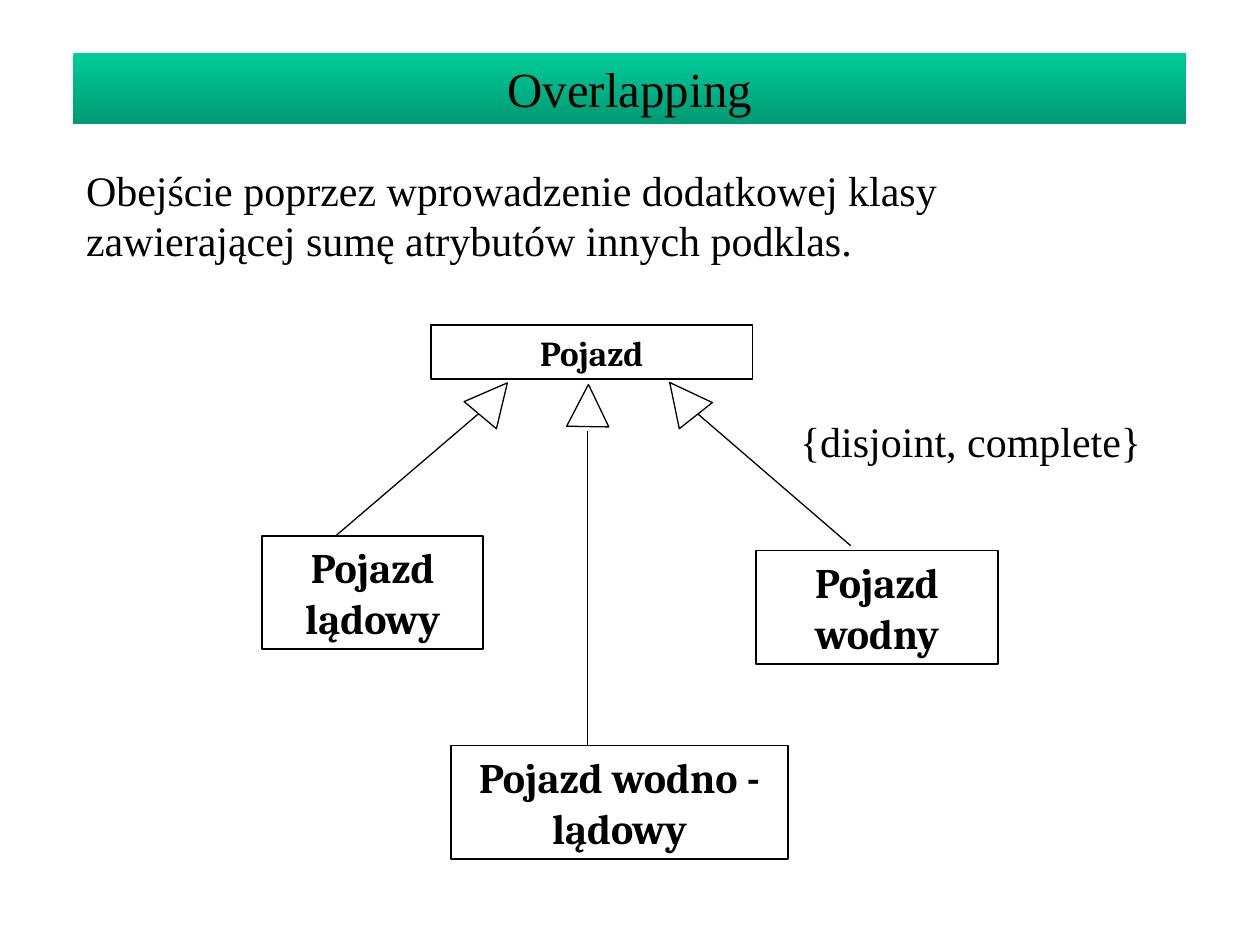
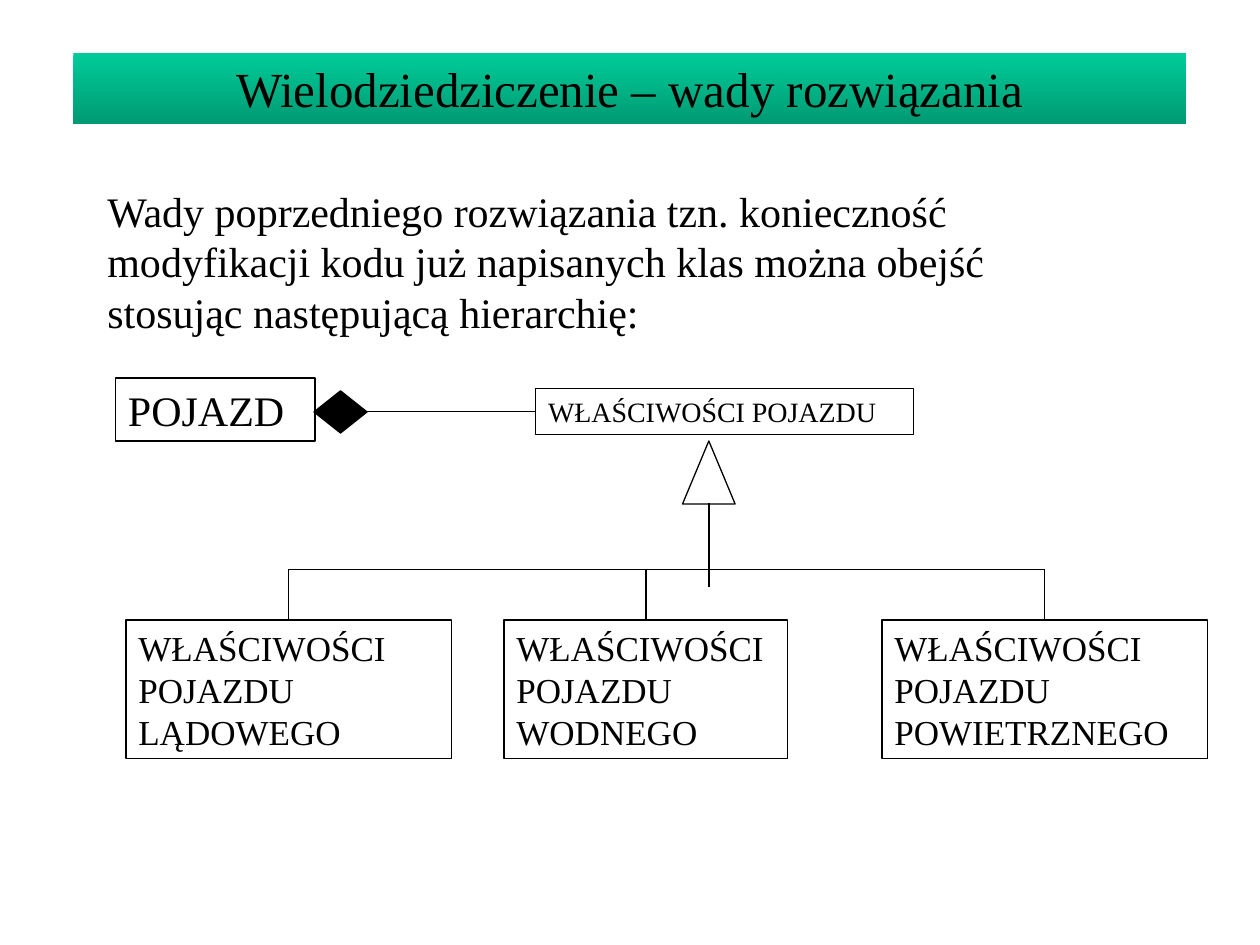
import pptx
import pptx.util
import pptx.dml.color
import pptx.enum.shapes
import pptx.enum.text
import pptx.oxml.ns
from lxml import etree

Cm, Pt = pptx.util.Cm, pptx.util.Pt
Kind = pptx.enum.shapes.MSO_SHAPE
Align = pptx.enum.text.PP_ALIGN
COLORS = {"ink": "000000", "paper": "FFFFFF", "light": "00CC99", "dark": "009A73"}
SERIF, SLAB = "Times New Roman", "Cambria"


def color(name):
    return pptx.dml.color.RGBColor.from_string(COLORS[name])


class Deck:
    def __init__(self):
        self.prs = pptx.Presentation()
        self.prs.slide_width, self.prs.slide_height = Cm(25.4), Cm(19.05)

    def start(self, title, body, place):
        self.slide = self.prs.slides.add_slide(self.prs.slide_layouts[1])
        self.shapes = self.slide.shapes
        band, text = self.slide.placeholders
        self.move(band, 1.48, 1.06, 22.43, 1.44)
        band.fill.gradient()
        band.fill.gradient_angle = 270
        for stop, name in zip(band.fill.gradient_stops, ("light", "dark")):
            stop.color.rgb = color(name)
        self.letter(band, title, 28, align=Align.CENTER)
        self.move(text, *place)
        self.letter(text, body, 24, plain=True)

    def move(self, shape, left, top, width, height):
        shape.left, shape.top = Cm(left), Cm(top)
        shape.width, shape.height = Cm(width), Cm(height)

    def letter(self, shape, text, size, font=SERIF, bold=False, align=Align.LEFT, plain=False):
        frame = shape.text_frame
        frame.text = text
        frame.word_wrap = True
        frame.auto_size = pptx.enum.text.MSO_AUTO_SIZE.NONE
        frame.vertical_anchor = pptx.enum.text.MSO_ANCHOR.TOP
        for para in frame.paragraphs:
            if plain:
                props = para._p.get_or_add_pPr()
                props.set("marL", "0")
                props.set("indent", "0")
                etree.SubElement(props, pptx.oxml.ns.qn("a:buNone"))
            para.alignment = align
            para.space_before = Pt(0)
            para.font.name, para.font.size, para.font.bold = font, Pt(size), bold
            para.font.color.rgb = color("ink")

    def form(self, kind, place, fill=None, width=0.75, turn=0):
        shape = self.shapes.add_shape(kind, *map(Cm, place))
        shape.shadow.inherit = False
        if fill:
            shape.fill.solid()
            shape.fill.fore_color.rgb = color(fill)
        else:
            shape.fill.background()
        shape.line.color.rgb = color("ink")
        shape.line.width = Pt(width)
        shape.rotation = turn
        return shape

    def box(self, text, size, *place):
        self.letter(self.form(Kind.RECTANGLE, place), text, size)

    def node(self, text, size, *place):
        shape = self.form(Kind.RECTANGLE, place, width=1)
        self.letter(shape, text, size, SLAB, True, Align.CENTER)

    def label(self, text, size, *place):
        self.letter(self.shapes.add_textbox(*map(Cm, place)), text, size)

    def head(self, *place, turn=0):
        self.form(Kind.FLOWCHART_EXTRACT, place, "paper", turn=turn)

    def line(self, *ends):
        link = self.shapes.add_connector(
            pptx.enum.shapes.MSO_CONNECTOR.STRAIGHT, *map(Cm, ends))
        link.line.color.rgb = color("ink")
        link.line.width = Pt(0.75)
        etree.SubElement(link._element.spPr, pptx.oxml.ns.qn("a:effectLst"))


def overlap(deck):
    deck.start(
        "Overlapping",
        "Obejście poprzez wprowadzenie dodatkowej klasy zawierającej sumę "
        "atrybutów innych podklas.",
        (1.48, 3.18, 19.69, 2.29))
    deck.node("Pojazd", 20, 8.69, 6.55, 6.48, 1.09)
    deck.node("Pojazd\nlądowy", 24, 5.29, 10.8, 4.45, 2.29)
    deck.node("Pojazd\nwodny", 24, 15.24, 11.1, 4.88, 2.29)
    deck.node("Pojazd wodno - lądowy", 24, 9.1, 15.03, 6.78, 2.29)
    for ends, left, top, turn in (
        ((9.74, 8.26, 6.77, 10.8), 9.53, 7.62, 40),
        ((13.97, 8.26, 17.15, 11), 13.34, 7.62, 321.7),
        ((11.85, 8.69, 11.85, 15.03), 11.43, 7.75, 0.9),
    ):
        deck.line(*ends)
        deck.head(left, top, 0.85, 0.85, turn=turn)
    deck.label("{disjoint, complete}", 24, 15.88, 8.26, 8.26, 1.27)


def multi(deck):
    deck.start(
        "Wielodziedziczenie – wady rozwiązania",
        "Wady poprzedniego rozwiązania tzn. konieczność modyfikacji kodu już "
        "napisanych klas można obejść stosując następującą hierarchię:",
        (1.91, 3.61, 20.53, 3.3))
    deck.box("POJAZD", 24, 2.33, 7.62, 4.02, 1.27)
    deck.box("WŁAŚCIWOŚCI POJAZDU", 16, 10.8, 7.83, 7.62, 0.93)
    bar, top = 11.48, 12.5
    mids = []
    kids = (("LĄDOWEGO", 6.56), ("WODNEGO", 5.72), ("POWIETRZNEGO", 6.56))
    for i, (name, width) in enumerate(kids):
        left = 2.54 + 7.62 * i
        mids.append(left + width / 2)
        deck.box("WŁAŚCIWOŚCI POJAZDU " + name, 20, left, top, width, 2.79)
        deck.line(mids[i], bar, mids[i], top)
    deck.line(mids[0], bar, mids[-1], bar)
    deck.head(13.76, 8.89, 1.06, 1.27)
    deck.line(14.29, 10.14, 14.29, 11.84)
    deck.form(Kind.DIAMOND, (6.33, 7.88, 1.07, 0.85), "ink")
    deck.line(7.4, 8.3, 10.8, 8.3)


def main():
    deck = Deck()
    overlap(deck)
    multi(deck)
    deck.prs.save("out.pptx")


if __name__ == "__main__":
    main()
